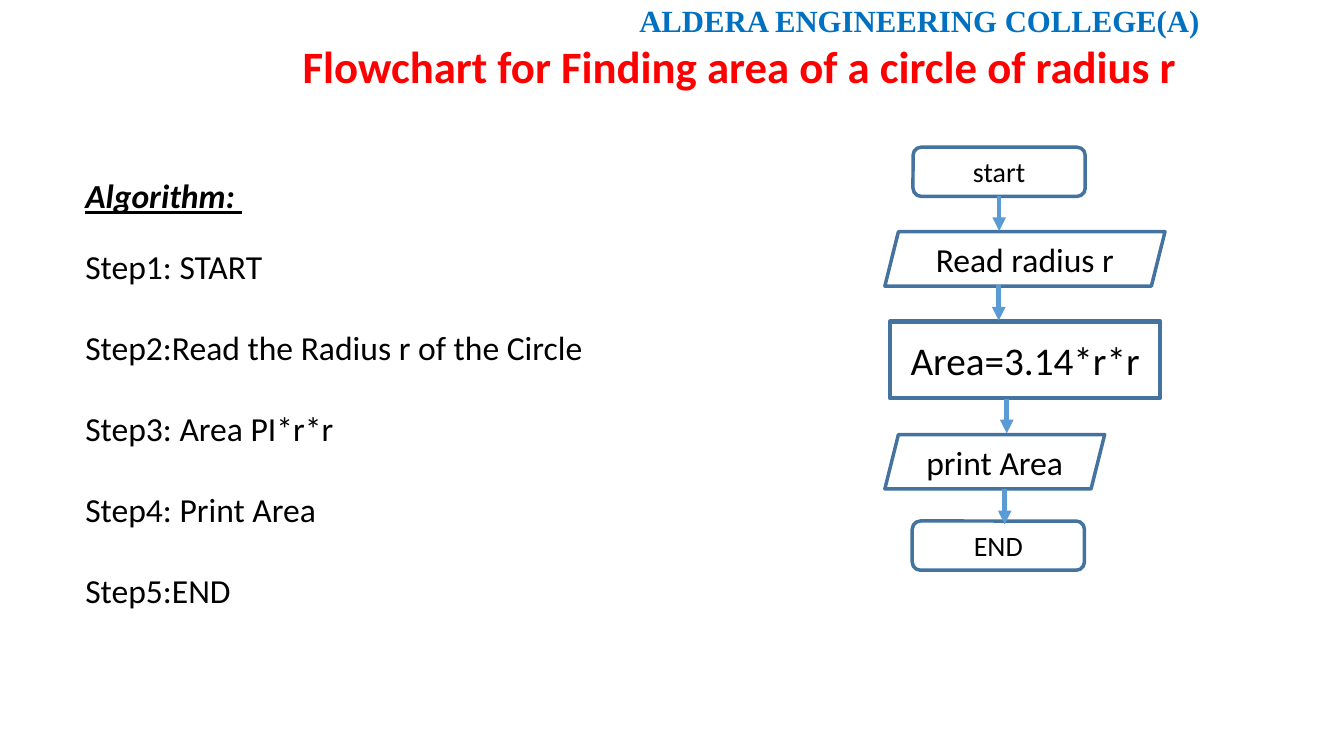
from lxml import etree
from pptx import Presentation
from pptx.dml.color import RGBColor
from pptx.enum import shapes, text
from pptx.oxml import ns
from pptx.util import Cm, Pt

BLACK = RGBColor(0x00, 0x00, 0x00)
RED = RGBColor(0xFF, 0x00, 0x00)
HEADER_BLUE = RGBColor(0x00, 0x70, 0xC0)
OUTLINE = RGBColor(0x43, 0x73, 0x9E)
ARROW_BLUE = RGBColor(0x5B, 0x9B, 0xD5)

TERMINAL = shapes.MSO_SHAPE.ROUNDED_RECTANGLE
IN_OUT = shapes.MSO_SHAPE.PARALLELOGRAM
PROCESS = shapes.MSO_SHAPE.RECTANGLE
BOTTOM = 2

STEPS = [
    "Step1: START",
    "Step2:Read the Radius r of the Circle",
    "Step3: Area PI*r*r",
    "Step4: Print Area",
    "Step5:END",
]


def write(para, words, size=24, font="Calibri", color=BLACK, bold=False,
          italic=False, underline=False, align=text.PP_ALIGN.LEFT, before=0):
    """Put one formatted run into the paragraph."""
    para.alignment = align
    para.space_before = Pt(before)
    span = para.add_run()
    span.text = words
    span.font.size = Pt(size)
    span.font.name = font
    span.font.color.rgb = color
    span.font.bold = bold
    span.font.italic = italic
    span.font.underline = underline


def add_text_box(page, left, top, width, height):
    box = page.shapes.add_textbox(Cm(left), Cm(top), Cm(width), Cm(height))
    box.text_frame.word_wrap = True
    return box.text_frame


def add_title(page, words):
    title = page.shapes.title
    title.left, title.top = Cm(7.37), Cm(0.86)
    title.width, title.height = Cm(23.06), Cm(1.63)
    title.text_frame.vertical_anchor = text.MSO_ANCHOR.TOP
    write(title.text_frame.paragraphs[0], words, size=32, color=RED, bold=True)


def add_algorithm(page):
    frame = add_text_box(page, 1.9, 4.29, 13.64, 11.28)
    write(frame.paragraphs[0], "Algorithm: ",
          bold=True, italic=True, underline=True)
    for index, step in enumerate(STEPS):
        write(frame.add_paragraph(), step, before=29 if index else 22)


def add_flow_box(page, kind, left, top, width, height, words, size, line=2.5):
    box = page.shapes.add_shape(kind, Cm(left), Cm(top), Cm(width), Cm(height))
    box.shadow.inherit = False
    box.fill.background()
    box.line.color.rgb = OUTLINE
    box.line.width = Pt(line)
    box.text_frame.vertical_anchor = text.MSO_ANCHOR.MIDDLE
    write(box.text_frame.paragraphs[0], words, size=size,
          align=text.PP_ALIGN.CENTER)
    return box


def add_down_arrow(page, x, top, bottom):
    arrow = page.shapes.add_connector(
        shapes.MSO_CONNECTOR.STRAIGHT, Cm(x), Cm(top), Cm(x), Cm(bottom))
    arrow.line.color.rgb = ARROW_BLUE
    arrow.line.width = Pt(3.25)
    etree.SubElement(arrow.line._get_or_add_ln(), ns.qn("a:tailEnd"),
                     type="triangle")
    etree.SubElement(arrow._element.spPr, ns.qn("a:effectLst"))
    return arrow


def add_flowchart(page):
    start = add_flow_box(page, TERMINAL, 23.01, 3.71, 4.34, 1.24, "start", 20)
    add_flow_box(page, IN_OUT, 22.3, 5.84, 7.06, 1.37, "Read radius r", 24)
    add_flow_box(page, PROCESS, 22.43, 8.1, 6.81, 1.93, "Area=3.14*r*r", 28,
                 line=3.25)
    add_flow_box(page, IN_OUT, 22.3, 10.95, 5.54, 1.37, "print Area", 24)
    add_flow_box(page, TERMINAL, 22.99, 13.13, 4.34, 1.24, "END", 20)

    add_down_arrow(page, 25.18, 4.95, 5.82).begin_connect(start, BOTTOM)
    for x, top, bottom in [(25.17, 7.19, 8.08), (25.37, 10.06, 10.92),
                           (25.32, 12.32, 13.21)]:
        add_down_arrow(page, x, top, bottom)


def main():
    deck = Presentation()
    deck.slide_width, deck.slide_height = Cm(33.87), Cm(19.05)
    page = deck.slides.add_slide(deck.slide_layouts.get_by_name("Title Only"))

    header = add_text_box(page, 12.27, -0.08, 18.21, 1.19)
    write(header.paragraphs[0], "ALDERA ENGINEERING COLLEGE(A)", size=22,
          font="Times New Roman", color=HEADER_BLUE, bold=True,
          align=text.PP_ALIGN.RIGHT)
    add_title(page, "Flowchart for Finding area of a circle of radius r")
    add_algorithm(page)
    add_flowchart(page)
    deck.save("out.pptx")


if __name__ == "__main__":
    main()
